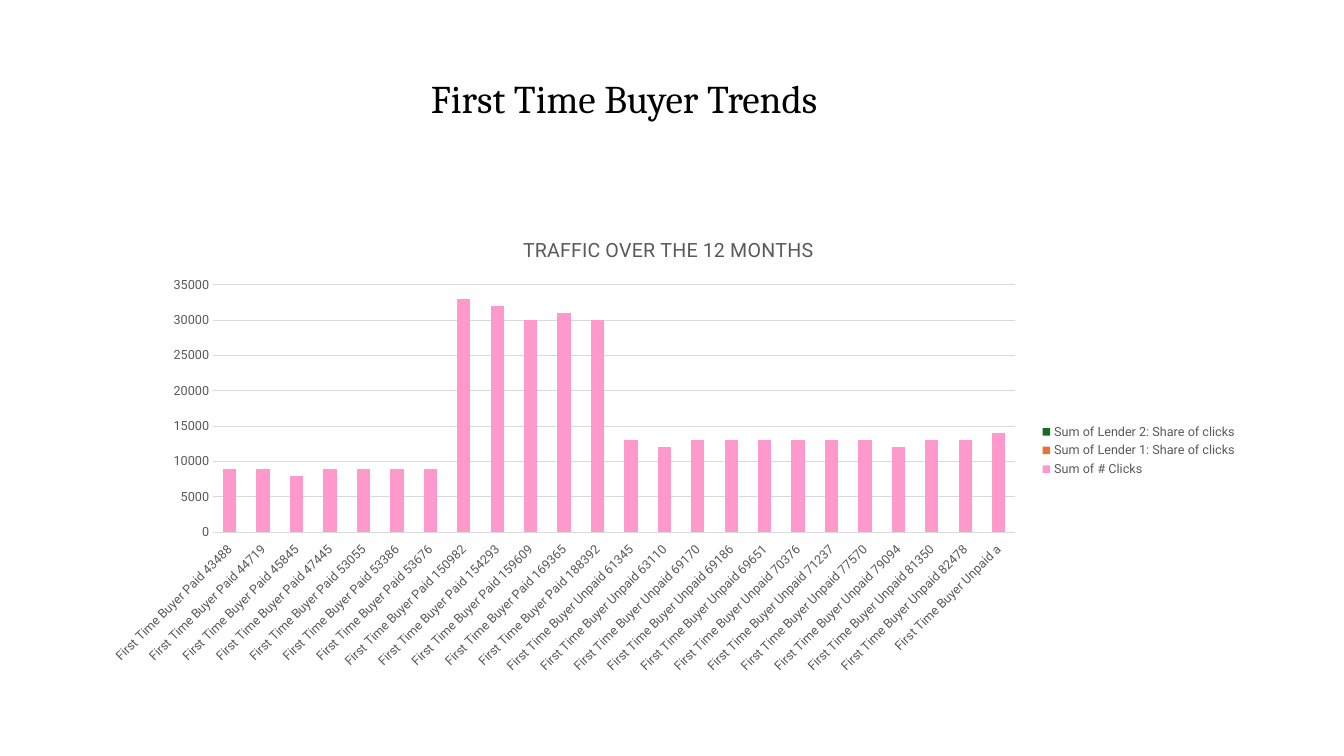
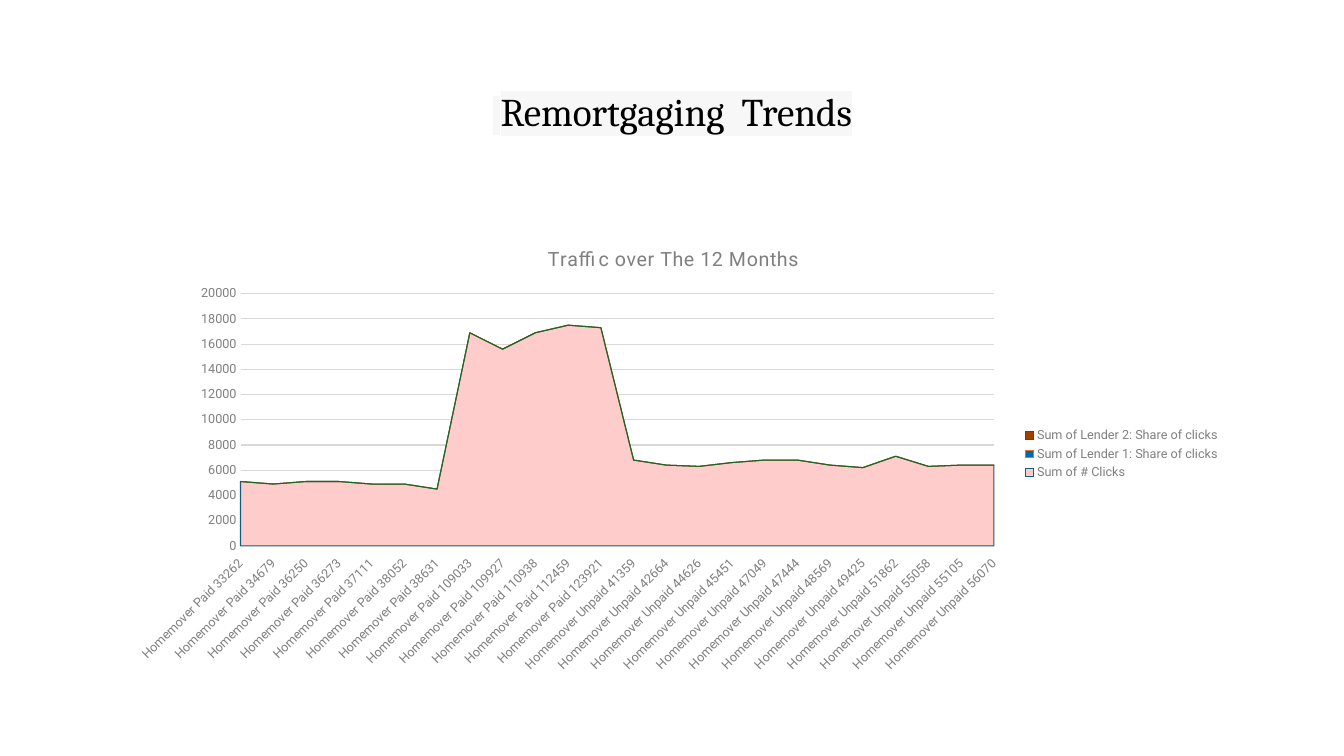
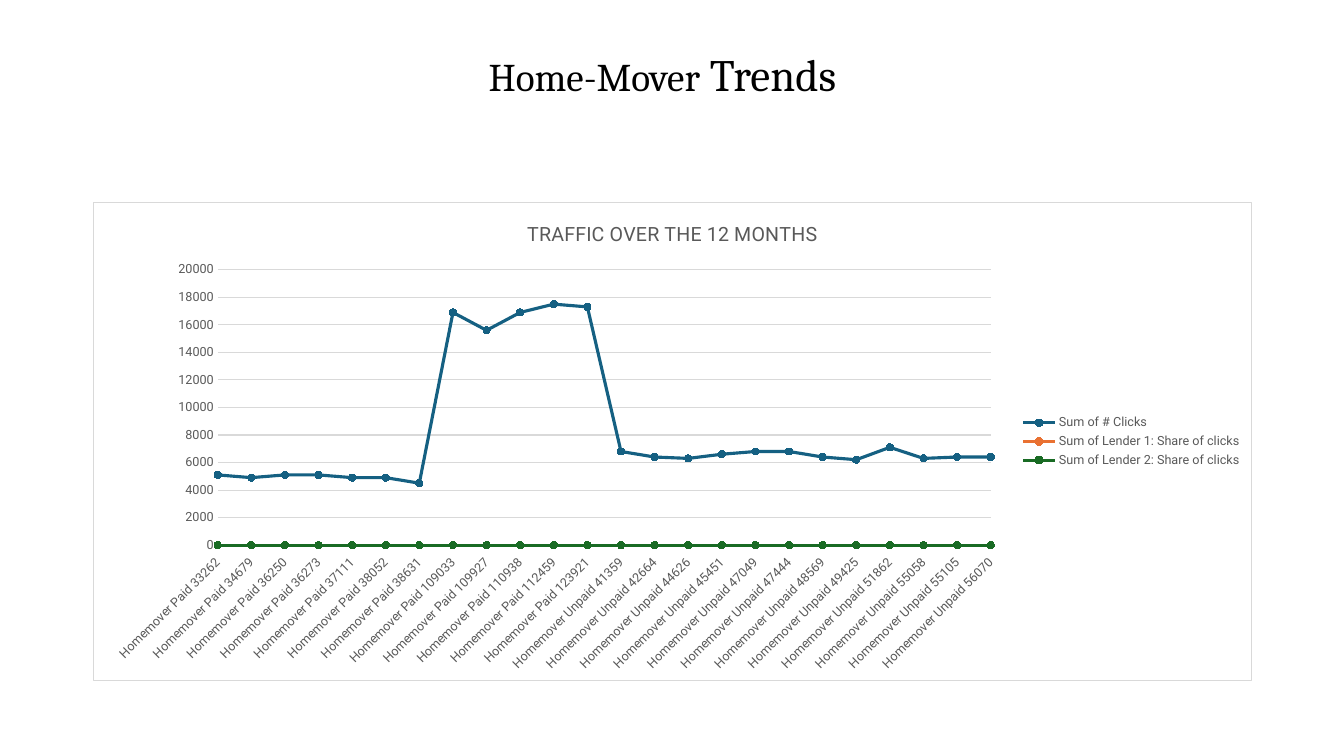
import pptx
import pptx.chart.data
import pptx.dml.color
import pptx.enum.chart
import pptx.enum.text
import pptx.oxml
import pptx.oxml.ns
import pptx.util

HEADING_FONT = "Cambria"
CHART_FONT = "Roboto"
BLACK = "000000"
GRID = "D9D9D9"
DARK_GREY = "595959"
MID_GREY = "7F7F7F"
LABEL_ROTATION = -45

SERIES_NAMES = [
    "Sum of # Clicks",
    "Sum of Lender 1: Share of clicks",
    "Sum of Lender 2: Share of clicks",
]

Inches = pptx.util.Inches
CHART_TYPE = pptx.enum.chart.XL_CHART_TYPE
ANCHOR = pptx.enum.text.MSO_ANCHOR


def colour(hex_code):
    return pptx.dml.color.RGBColor.from_string(hex_code)


def category_names(kind, paid, unpaid):
    return ([f"{kind} Paid {number}" for number in paid]
            + [f"{kind} Unpaid {number}" for number in unpaid])


BUYER_CATEGORIES = category_names(
    "First Time Buyer",
    [43488, 44719, 45845, 47445, 53055, 53386, 53676,
     150982, 154293, 159609, 169365, 188392],
    [61345, 63110, 69170, 69186, 69651, 70376, 71237,
     77570, 79094, 81350, 82478, "a"])
BUYER_CLICKS = [
    9000, 9000, 8000, 9000, 9000, 9000, 9000, 33000, 32000, 30000, 31000, 30000,
    13000, 12000, 13000, 13000, 13000, 13000, 13000, 13000, 12000, 13000, 13000, 14000,
]
MOVER_CATEGORIES = category_names(
    "Homemover",
    [33262, 34679, 36250, 36273, 37111, 38052, 38631,
     109033, 109927, 110938, 112459, 123921],
    [41359, 42664, 44626, 45451, 47049, 47444, 48569,
     49425, 51862, 55058, 55105, 56070])
MOVER_CLICKS = [
    5100, 4900, 5100, 5100, 4900, 4900, 4500, 16900, 15600, 16900, 17500, 17300,
    6800, 6400, 6300, 6600, 6800, 6800, 6400, 6200, 7100, 6300, 6400, 6400,
]


def style_font(font, size, hex_code, name=CHART_FONT):
    font.size = pptx.util.Pt(size)
    font.bold = False
    font.name = name
    font.color.rgb = colour(hex_code)


def style_line(line, hex_code, width=0.75):
    line.color.rgb = colour(hex_code)
    line.width = pptx.util.Pt(width)


def add_heading(page, box, runs, anchor=ANCHOR.MIDDLE, highlight=None):
    """Add a centred slide title from (text, size) runs."""
    frame = page.shapes.add_textbox(*map(Inches, box)).text_frame
    frame.word_wrap = True
    frame.vertical_anchor = anchor
    para = frame.paragraphs[0]
    para.alignment = pptx.enum.text.PP_ALIGN.CENTER
    para.line_spacing = 0.9
    for text, size in runs:
        span = para.add_run()
        span.text = text
        style_font(span.font, size, BLACK, HEADING_FONT)
        if highlight:
            fill = span.font._element.find(pptx.oxml.ns.qn("a:solidFill"))
            fill.addnext(pptx.oxml.parse_xml(
                f'<a:highlight {pptx.oxml.ns.nsdecls("a")}>'
                f'<a:srgbClr val="{highlight}"/></a:highlight>'))


def frame_chart(chart, border):
    """Clear the chart background and outline it if a border colour is given."""
    paint = (f'<a:solidFill><a:srgbClr val="{border}"/></a:solidFill>'
             if border else "<a:noFill/>")
    area = chart.element.find(pptx.oxml.ns.qn("c:chart"))
    area.addnext(pptx.oxml.parse_xml(
        f'<c:spPr {pptx.oxml.ns.nsdecls("c", "a")}><a:noFill/>'
        f'<a:ln w="{pptx.util.Pt(0.75)}">{paint}</a:ln></c:spPr>'))


def set_crossing(axis, mode):
    """Say whether the value axis crosses on a category or between two."""
    crossing = axis._element.find(pptx.oxml.ns.qn("c:crossBetween"))
    if crossing is None:
        crossing = pptx.oxml.parse_xml(
            f'<c:crossBetween {pptx.oxml.ns.nsdecls("c")}/>')
        axis._element.find(pptx.oxml.ns.qn("c:crosses")).addnext(crossing)
    crossing.set("val", mode)


def style_axes(chart, grey, on_tick):
    for axis in (chart.category_axis, chart.value_axis):
        axis.major_tick_mark = pptx.enum.chart.XL_TICK_MARK.NONE
        axis.minor_tick_mark = pptx.enum.chart.XL_TICK_MARK.NONE
        style_font(axis.tick_labels.font, 9, grey)
    categories, values = chart.category_axis, chart.value_axis
    categories.has_major_gridlines = False
    categories.tick_label_position = pptx.enum.chart.XL_TICK_LABEL_POSITION.LOW
    style_line(categories.format.line, GRID)
    body = categories._element.find(".//" + pptx.oxml.ns.qn("a:bodyPr"))
    body.set("rot", str(LABEL_ROTATION * 60000))
    values.has_major_gridlines = True
    style_line(values.major_gridlines.format.line, GRID)
    values.format.line.fill.background()
    set_crossing(values, "midCat" if on_tick else "between")


def add_traffic_chart(page, box, kind, title, categories, clicks,
                      grey=DARK_GREY, on_tick=True, border=None, spacing=None):
    """Add a chart of clicks and lender shares, and return it."""
    data = pptx.chart.data.CategoryChartData()
    data.categories = categories
    no_share = [0] * len(clicks)
    for name, values in zip(SERIES_NAMES, (clicks, no_share, no_share)):
        data.add_series(name, values)
    chart = page.shapes.add_chart(kind, *map(Inches, box), data).chart
    style_font(chart.font, 10, BLACK, "Arial")
    frame_chart(chart, border)

    chart.has_title = True
    span = chart.chart_title.text_frame.paragraphs[0].add_run()
    span.text = title
    style_font(span.font, 14, grey)
    if spacing:
        span.font._element.set("spc", str(spacing))

    chart.has_legend = True
    chart.legend.position = pptx.enum.chart.XL_LEGEND_POSITION.RIGHT
    chart.legend.include_in_layout = False
    style_font(chart.legend.font, 9, grey)
    style_axes(chart, grey, on_tick)
    chart.plots[0].vary_by_categories = False
    return chart


def fill_series(series, hex_code):
    series.format.fill.solid()
    series.format.fill.fore_color.rgb = colour(hex_code)


def build_buyer_slide(page):
    add_heading(page, (0, 0, 12.38, 1.26), [("First Time Buyer Trends", 28)],
                ANCHOR.BOTTOM)
    chart = add_traffic_chart(
        page, (0.89, 2.16, 11.48, 4.62), CHART_TYPE.COLUMN_STACKED,
        "TRAFFIC OVER THE 12 MONTHS", BUYER_CATEGORIES, BUYER_CLICKS, on_tick=False)
    plot = chart.plots[0]
    plot.gap_width = 150
    plot.overlap = 100
    for series, fill in zip(plot.series, ("FF99CC", "E97132", "196B24")):
        fill_series(series, fill)


def build_remortgaging_slide(page):
    add_heading(page, (0.92, 0.4, 11.5, 1.45),
                [(" ", 24), ("Remortgaging  Trends", 28)], highlight="F7F7F7")
    chart = add_traffic_chart(
        page, (1.16, 2.25, 11.04, 4.51), CHART_TYPE.AREA_STACKED,
        "Traffic over The 12 Months", MOVER_CATEGORIES, MOVER_CLICKS,
        grey=MID_GREY, spacing=30)
    looks = (("FFCCCC", "145E7F"), ("0369A3", "E46E31"), ("A33E03", "186823"))
    for series, (fill, outline) in zip(chart.plots[0].series, looks):
        fill_series(series, fill)
        style_line(series.format.line, outline)


def build_mover_slide(page):
    add_heading(page, (0.37, 0.17, 12.4, 1.18), [("Home-Mover", 28), (" Trends", 32)])
    chart = add_traffic_chart(
        page, (0.92, 2, 11.5, 4.76), CHART_TYPE.LINE_MARKERS,
        "TRAFFIC OVER THE 12 MONTHS", MOVER_CATEGORIES, MOVER_CLICKS, border=GRID)
    for series, stroke in zip(chart.plots[0].series, ("156082", "E97132", "196B24")):
        series.smooth = False
        style_line(series.format.line, stroke, 2.25)
        marker = series.marker
        marker.style = pptx.enum.chart.XL_MARKER_STYLE.CIRCLE
        marker.size = 5
        marker.format.fill.solid()
        marker.format.fill.fore_color.rgb = colour(stroke)
        style_line(marker.format.line, stroke)


def main():
    deck = pptx.Presentation()
    deck.slide_width = Inches(13.33)
    deck.slide_height = Inches(7.5)
    for build in (build_buyer_slide, build_remortgaging_slide, build_mover_slide):
        build(deck.slides.add_slide(deck.slide_layouts[6]))
    deck.save("out.pptx")


if __name__ == "__main__":
    main()
